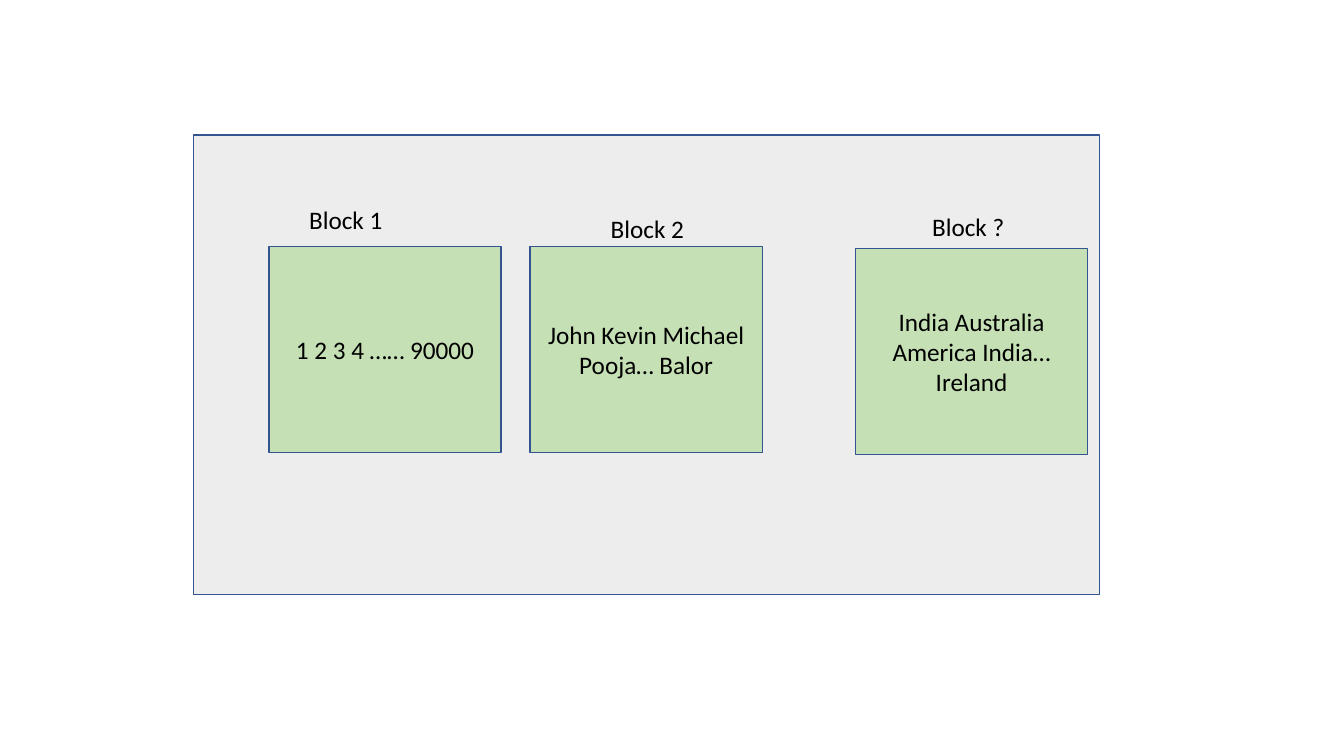
from pptx import Presentation
from pptx.dml.color import RGBColor
from pptx.enum.shapes import MSO_SHAPE
from pptx.enum.text import MSO_ANCHOR, MSO_AUTO_SIZE, PP_ALIGN
from pptx.util import Cm, Pt

RECTANGLE = MSO_SHAPE.RECTANGLE
MIDDLE = MSO_ANCHOR.MIDDLE
FIT_SHAPE = MSO_AUTO_SIZE.SHAPE_TO_FIT_TEXT
CENTER = PP_ALIGN.CENTER
LEFT = PP_ALIGN.LEFT

GREY = RGBColor(0xED, 0xED, 0xED)
GREEN = RGBColor(0xC5, 0xE0, 0xB4)
BLUE = RGBColor(0x32, 0x54, 0x91)
BLACK = RGBColor(0, 0, 0)

BLOCK_WIDTH, BLOCK_HEIGHT = 5.85, 5.18
LABEL_WIDTH, LABEL_HEIGHT = 4.01, 1.02

# Each row: label, label left, label top, content, block left, block top
BLOCKS = [
    ("Block 1", 7.54, 5.03, "1 2 3 4 …… 90000", 6.78, 6.22),
    ("Block 2", 15.14, 5.26, "John Kevin Michael Pooja… Balor", 13.36, 6.22),
    ("Block ?", 23.24, 5.21, "India Australia America India… Ireland", 21.56, 6.27),
]


def write_text(shape, text, alignment):
    """Put one line of black Calibri text into a shape."""
    frame = shape.text_frame
    frame.word_wrap = True
    frame.text = text
    para = frame.paragraphs[0]
    para.alignment = alignment
    span = para.runs[0]
    span.font.name = "Calibri"
    span.font.size = Pt(18)
    span.font.color.rgb = BLACK


def add_box(page, left, top, width, height, fill):
    """Add a flat rectangle with a thin blue outline."""
    box = page.shapes.add_shape(RECTANGLE, Cm(left), Cm(top), Cm(width), Cm(height))
    box.shadow.inherit = False
    box.fill.solid()
    box.fill.fore_color.rgb = fill
    box.line.color.rgb = BLUE
    box.line.width = Pt(1)
    return box


def add_block(page, content, left, top):
    """Add a green block with centred content."""
    block = add_box(page, left, top, BLOCK_WIDTH, BLOCK_HEIGHT, GREEN)
    write_text(block, content, CENTER)
    block.text_frame.vertical_anchor = MIDDLE


def add_label(page, text, left, top):
    """Add the caption above a block."""
    label = page.shapes.add_textbox(Cm(left), Cm(top), Cm(LABEL_WIDTH), Cm(LABEL_HEIGHT))
    write_text(label, text, LEFT)
    label.text_frame.auto_size = FIT_SHAPE


def main():
    """Build the slide of storage blocks and save it."""
    deck = Presentation()
    deck.slide_width, deck.slide_height = Cm(33.87), Cm(19.05)
    page = deck.slides.add_slide(deck.slide_layouts[6])
    add_box(page, 4.88, 3.4, 22.83, 11.58, GREY)
    for label, label_left, label_top, content, left, top in BLOCKS:
        add_block(page, content, left, top)
        add_label(page, label, label_left, label_top)
    deck.save("out.pptx")


if __name__ == "__main__":
    main()
